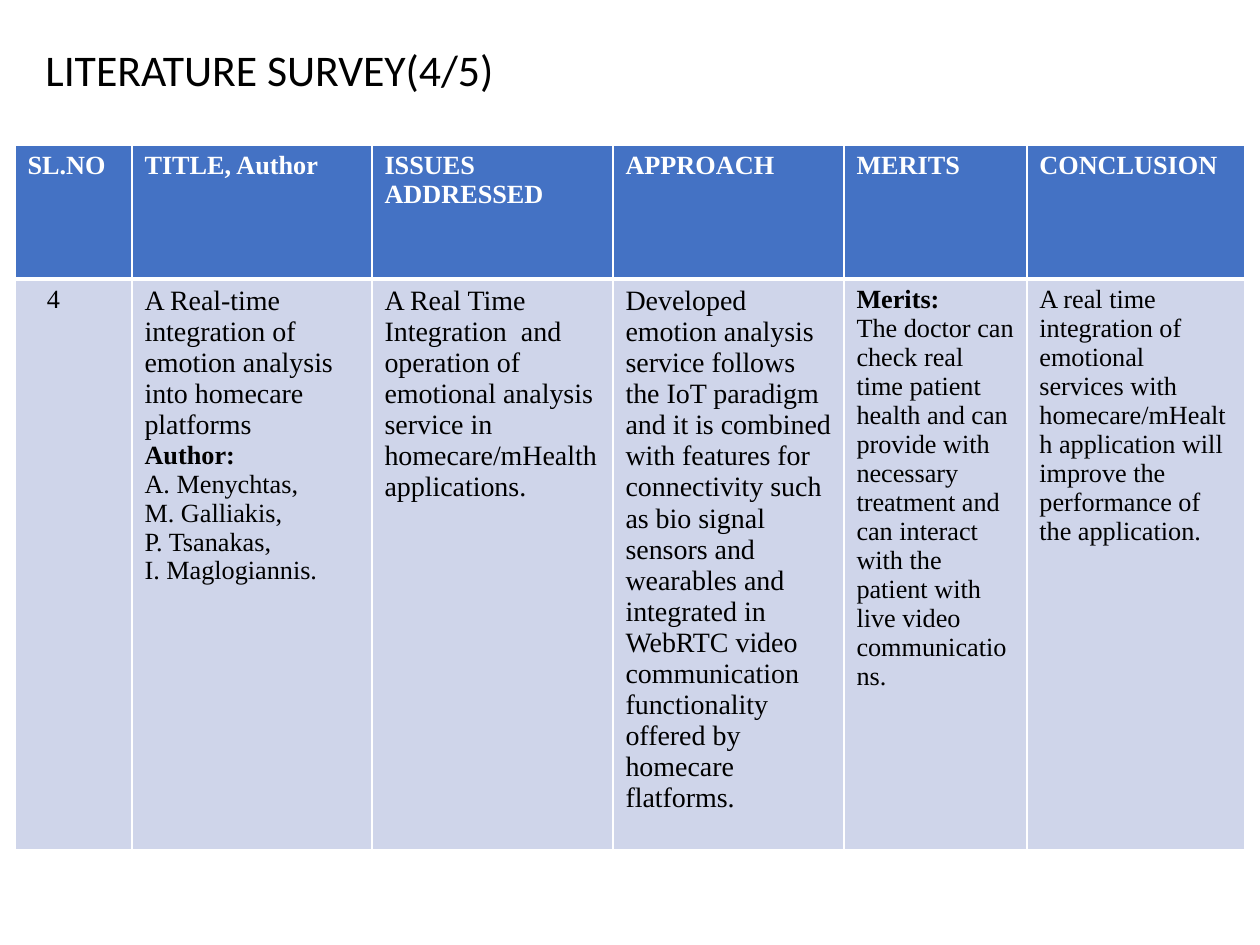
from lxml import etree
from pptx import Presentation
from pptx.dml.color import RGBColor
from pptx.oxml.ns import qn
from pptx.util import Pt

PIXEL = 914400 // 126
BLACK = RGBColor(0x00, 0x00, 0x00)
WHITE = RGBColor(0xFF, 0xFF, 0xFF)
HEADER_BLUE = RGBColor(0x44, 0x72, 0xC4)
BODY_BLUE = RGBColor(0xCF, 0xD5, 0xEA)


def add_text(paragraph, text, font_name, size, color, bold=False):
    run = paragraph.add_run()
    run.text = text
    run.font.name = font_name
    run.font.size = Pt(size)
    run.font.bold = bold
    run.font.color.rgb = color


def set_borders(cell, widths):
    properties = cell._tc.get_or_add_tcPr()
    for index, (side, width) in enumerate(zip("LRTB", widths)):
        line = etree.Element(qn(f"a:ln{side}"), w=str(Pt(width)))
        fill = etree.SubElement(line, qn("a:solidFill"))
        etree.SubElement(fill, qn("a:srgbClr"), val=str(WHITE))
        properties.insert(index, line)


presentation = Presentation()
presentation.slide_width = 1260 * PIXEL
presentation.slide_height = 945 * PIXEL
slide = presentation.slides.add_slide(presentation.slide_layouts[6])

# Survey content: each cell is a list of (text, size, bold) paragraphs
headings = ["SL.NO", "TITLE, Author", "ISSUES ADDRESSED", "APPROACH", "MERITS", "CONCLUSION"]
header_row = [[(heading, 15, True)] for heading in headings]
survey_row = [
    [("4", 15, False)],
    [
        ("A Real-time integration of emotion analysis into homecare platforms", 16, False),
        ("Author:", 15, True),
        ("A. Menychtas, ", 15, False),
        ("M. Galliakis,", 15, False),
        ("P. Tsanakas, ", 15, False),
        ("I. Maglogiannis.", 15, False),
    ],
    [("A Real Time Integration  and operation of emotional analysis service in "
      "homecare/mHealth applications.", 16, False)],
    [("Developed emotion analysis service follows the IoT paradigm and it is combined "
      "with features for connectivity such as bio signal sensors and wearables and "
      "integrated in WebRTC video communication functionality offered by homecare "
      "flatforms.", 16, False)],
    [
        ("Merits:  ", 15, True),
        ("The doctor can check real time patient health and can provide with necessary "
         "treatment and can interact with the patient with live video communications.", 15, False),
    ],
    [("A real time integration of emotional services with homecare/mHealth application "
      "will improve the performance of the application.", 15, False)],
]

# Survey table
column_widths = [117, 240, 241, 231, 183, 218]
row_heights = [134, 571]
frame = slide.shapes.add_table(
    2, 6, 15 * PIXEL, 145 * PIXEL, sum(column_widths) * PIXEL, sum(row_heights) * PIXEL)
table = frame.table
for column, width in zip(table.columns, column_widths):
    column.width = width * PIXEL
for row, height in zip(table.rows, row_heights):
    row.height = height * PIXEL

row_styles = [
    (header_row, HEADER_BLUE, WHITE, (1, 1, 1, 3)),
    (survey_row, BODY_BLUE, BLACK, (1, 1, 3, 1)),
]
for row, (contents, fill_color, text_color, borders) in zip(table.rows, row_styles):
    for cell, lines in zip(row.cells, contents):
        cell.fill.solid()
        cell.fill.fore_color.rgb = fill_color
        set_borders(cell, borders)
        text_frame = cell.text_frame
        for index, (text, size, bold) in enumerate(lines):
            paragraph = text_frame.add_paragraph() if index else text_frame.paragraphs[0]
            add_text(paragraph, text, "Times New Roman", size, text_color, bold)

# Indent of the serial number
table.cell(1, 0).margin_left = 32 * PIXEL

# Slide title
title = slide.shapes.add_textbox(33 * PIXEL, 37 * PIXEL, 1081 * PIXEL, 66 * PIXEL)
title.text_frame.word_wrap = True
add_text(title.text_frame.paragraphs[0], "LITERATURE SURVEY(4/5)", "Calibri", 25, BLACK)

presentation.save("out.pptx")
